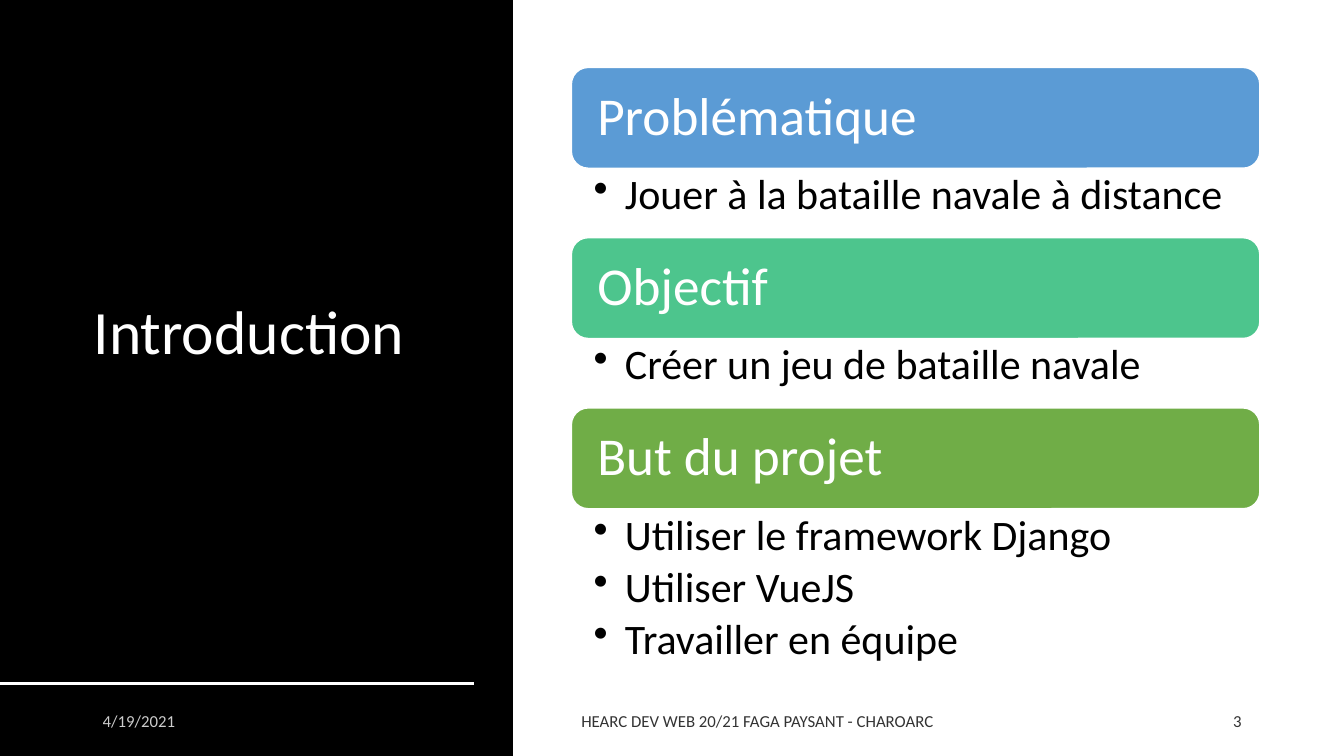
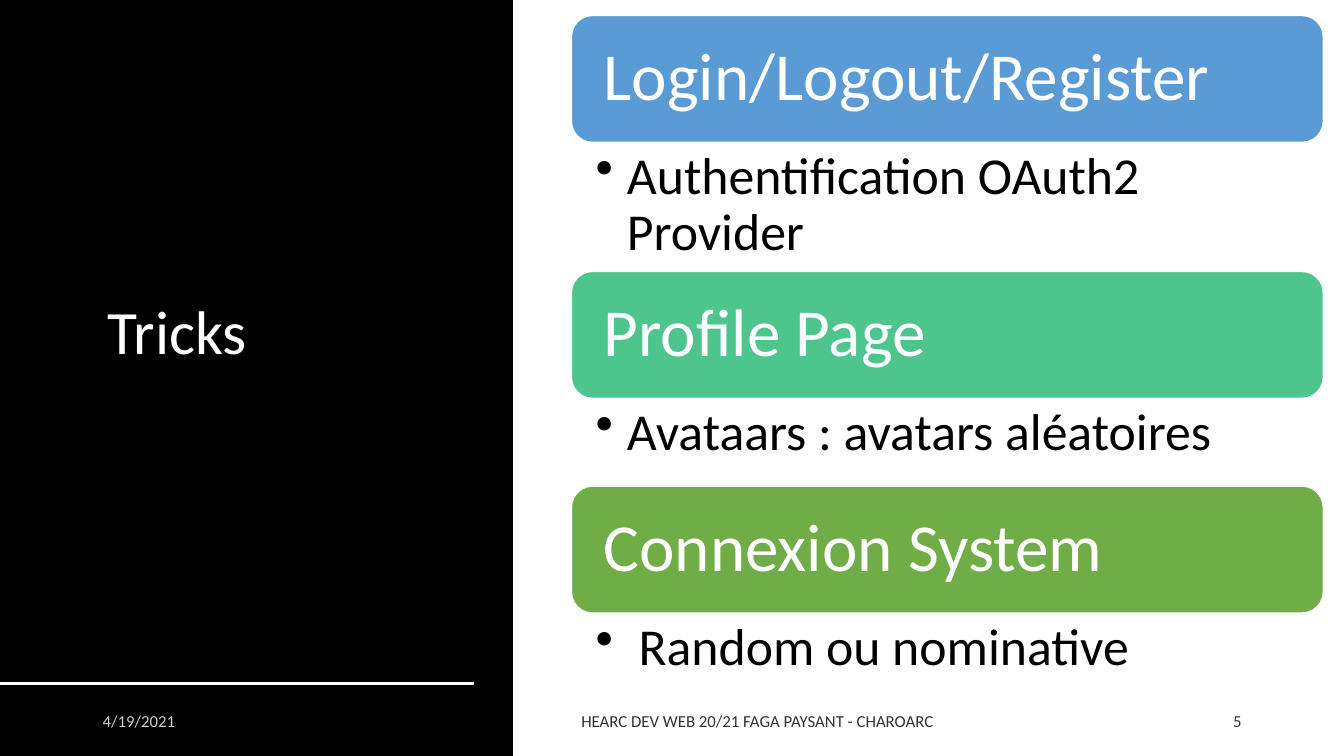
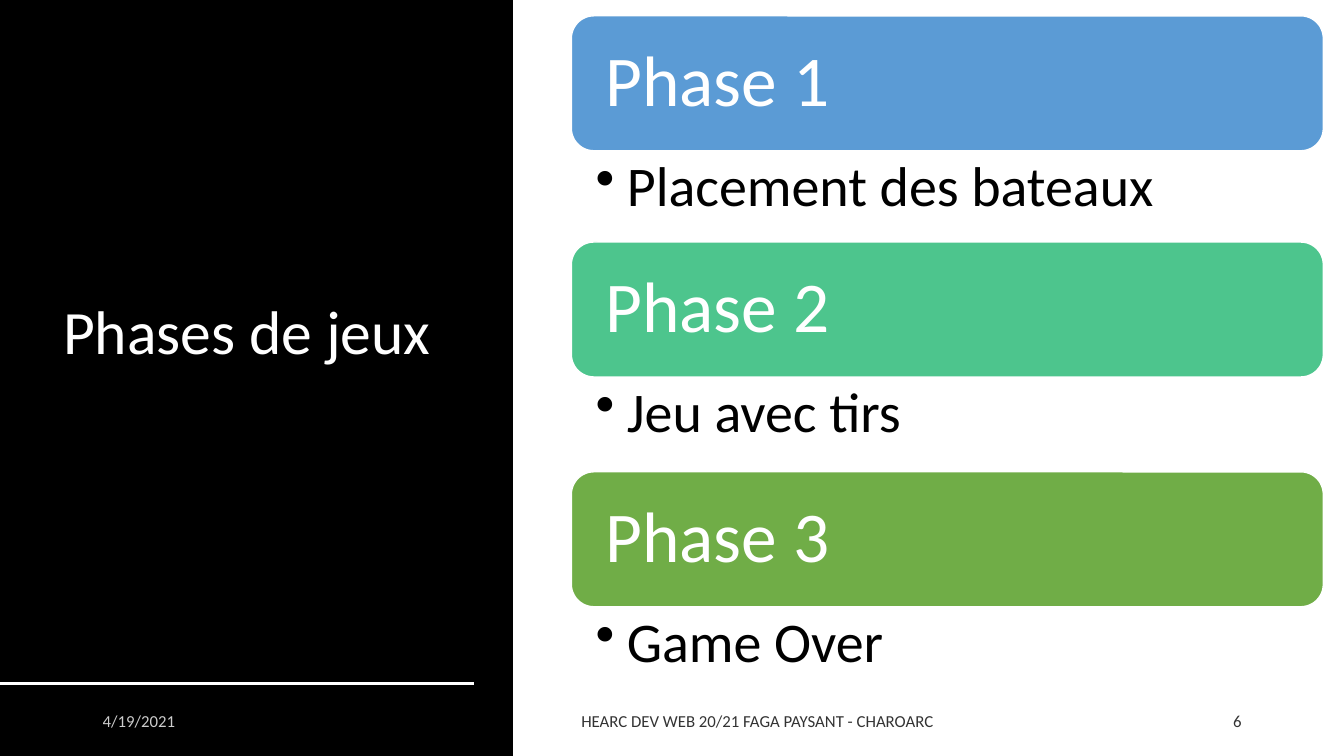
"""Build three slides with a dark title panel and stacked headed bullet cards."""
import pptx
import pptx.dml.color
import pptx.enum.shapes
import pptx.enum.text
import pptx.oxml.ns
import pptx.util
from lxml import etree

Cm, Pt = pptx.util.Cm, pptx.util.Pt
RGB = pptx.dml.color.RGBColor.from_string
SHAPE = pptx.enum.shapes.MSO_SHAPE
ALIGN = pptx.enum.text.PP_ALIGN
ANCHOR = pptx.enum.text.MSO_ANCHOR
qn = pptx.oxml.ns.qn

THEME = {
    "font": "Calibri",
    "dark": "000000",
    "light": "FFFFFF",
    "bars": ["5B9BD5", "4DC58D", "70AD47"],
    "title": 44,
    "footer": 12,
}
HEIGHT = 19.05
CARD_LEFT = 14.4
TITLE_RIGHT = 12.03

FOOTERS = [
    (2.34, 7.62, "4/19/2021", THEME["light"], ALIGN.LEFT),
    (CARD_LEFT, 12.62, "HEARC DEV WEB 20/21 FAGA PAYSANT - CHAROARC", THEME["dark"], ALIGN.LEFT),
    (28.47, 3.07, None, THEME["dark"], ALIGN.RIGHT),
]

SLIDES = [
    {
        "title": "Introduction", "title_left": 2.11, "number": "3",
        "top": 1.7, "width": 17.35, "bar": 2.54, "sizes": (38, 30),
        "bar_inset": 0.53, "body_insets": (0.56, 0.13, 0.76),
        "cards": [
            ("Problématique", 1.75, ["Jouer à la bataille navale à distance"]),
            ("Objectif", 1.75, ["Créer un jeu de bataille navale"]),
            ("But du projet", 4.37, ["Utiliser le framework Django", "Utiliser VueJS", "Travailler en équipe"]),
        ],
    },
    {
        "title": " Tricks", "title_left": 2.11, "number": "5",
        "top": 0.39, "width": 18.95, "bar": 3.2, "sizes": (48, 37),
        "bar_inset": 0.66, "body_insets": (0.61, 0.18, 0.94),
        "cards": [
            ("Login/Logout/Register", 3.25, ["Authentification OAuth2 Provider"]),
            ("Profile Page", 2.21, ["Avataars : avatars aléatoires"]),
            ("Connexion System", 2.21, [" Random ou nominative"]),
        ],
    },
    {
        "title": " Phases de jeux", "title_left": 0.99, "number": "6",
        "top": 0.4, "width": 18.95, "bar": 3.4, "sizes": (51, 40),
        "bar_inset": 0.69, "body_insets": (0.61, 0.18, 1.02),
        "cards": [
            ("Phase 1", 2.3, ["Placement des bateaux"]),
            ("Phase 2", 2.39, ["Jeu avec tirs"]),
            ("Phase 3", 2.34, ["Game Over"]),
        ],
    },
]


def add_run(p, text, size, color):
    r = p.add_run()
    r.text = text
    r.font.name = THEME["font"]
    r.font.size = Pt(size)
    r.font.color.rgb = RGB(color)
    return r


def add_box(s, left, top, width, height, anchor, fill=None, shape=SHAPE.RECTANGLE):
    box = [Cm(v) for v in (left, top, width, height)]
    if fill:
        sp = s.shapes.add_shape(shape, *box)
        sp.shadow.inherit = False
        sp.fill.solid()
        sp.fill.fore_color.rgb = RGB(fill)
        sp.line.fill.background()
    else:
        sp = s.shapes.add_textbox(*box)
    tf = sp.text_frame
    tf.word_wrap = True
    tf.vertical_anchor = anchor
    tf.paragraphs[0].alignment = ALIGN.LEFT
    return sp


prs = pptx.Presentation()
prs.slide_width, prs.slide_height = Cm(33.87), Cm(HEIGHT)

for page in SLIDES:
    s = prs.slides.add_slide(prs.slide_layouts[6])
    add_box(s, 0, 0, 12.93, HEIGHT, ANCHOR.MIDDLE, THEME["dark"])

    left = page["title_left"]
    sp = add_box(s, left, 1.55, TITLE_RIGHT - left, 13.77, ANCHOR.MIDDLE)
    p = sp.text_frame.paragraphs[0]
    p.line_spacing = 0.9
    add_run(p, page["title"], THEME["title"], THEME["light"])

    rule = s.shapes.add_connector(
        pptx.enum.shapes.MSO_CONNECTOR.STRAIGHT, Cm(0), Cm(17.22), Cm(11.94), Cm(17.22))
    rule.line.color.rgb = RGB(THEME["light"])
    rule.line.width = Pt(2)
    etree.SubElement(rule.element.spPr, qn("a:effectLst"))

    for left, width, text, color, align in FOOTERS:
        sp = add_box(s, left, 17.65, width, 1.02, ANCHOR.MIDDLE)
        p = sp.text_frame.paragraphs[0]
        p.alignment = align
        p.space_after = Pt(6)
        r = add_run(p, text or page["number"], THEME["footer"], color)
        clr = r.font.fill._xPr.find(qn("a:solidFill"))[0]
        etree.SubElement(clr, qn("a:alpha"), val="80000")

    top = page["top"]
    head_size, body_size = page["sizes"]
    for (heading, body_height, items), color in zip(page["cards"], THEME["bars"]):
        sp = add_box(s, CARD_LEFT, top, page["width"], page["bar"], ANCHOR.MIDDLE,
                     color, SHAPE.ROUNDED_RECTANGLE)
        sp.line.color.rgb = RGB(THEME["light"])
        sp.line.width = Pt(1)
        tf = sp.text_frame
        tf.margin_left = tf.margin_right = Cm(page["bar_inset"])
        tf.margin_top = tf.margin_bottom = Cm(page["bar_inset"])
        p = tf.paragraphs[0]
        p.line_spacing = 0.9
        add_run(p, heading, head_size, THEME["light"])
        top += page["bar"]

        sp = add_box(s, CARD_LEFT, top, page["width"], body_height, ANCHOR.TOP)
        tf = sp.text_frame
        inset_left, inset_top, inset_right = page["body_insets"]
        tf.margin_left, tf.margin_right = Cm(inset_left), Cm(inset_right)
        tf.margin_top = tf.margin_bottom = Cm(inset_top)
        for i, item in enumerate(items):
            p = tf.add_paragraph() if i else tf.paragraphs[0]
            p.level = 1
            p.line_spacing = 0.9
            p.space_after = Pt(5)
            pPr = p._p.get_or_add_pPr()
            pPr.set("marL", str(Cm(0.79)))
            pPr.set("indent", str(-Cm(0.79)))
            etree.SubElement(pPr, qn("a:buChar"), char="•")
            add_run(p, item, body_size, THEME["dark"])
        top += body_height

prs.save("out.pptx")
